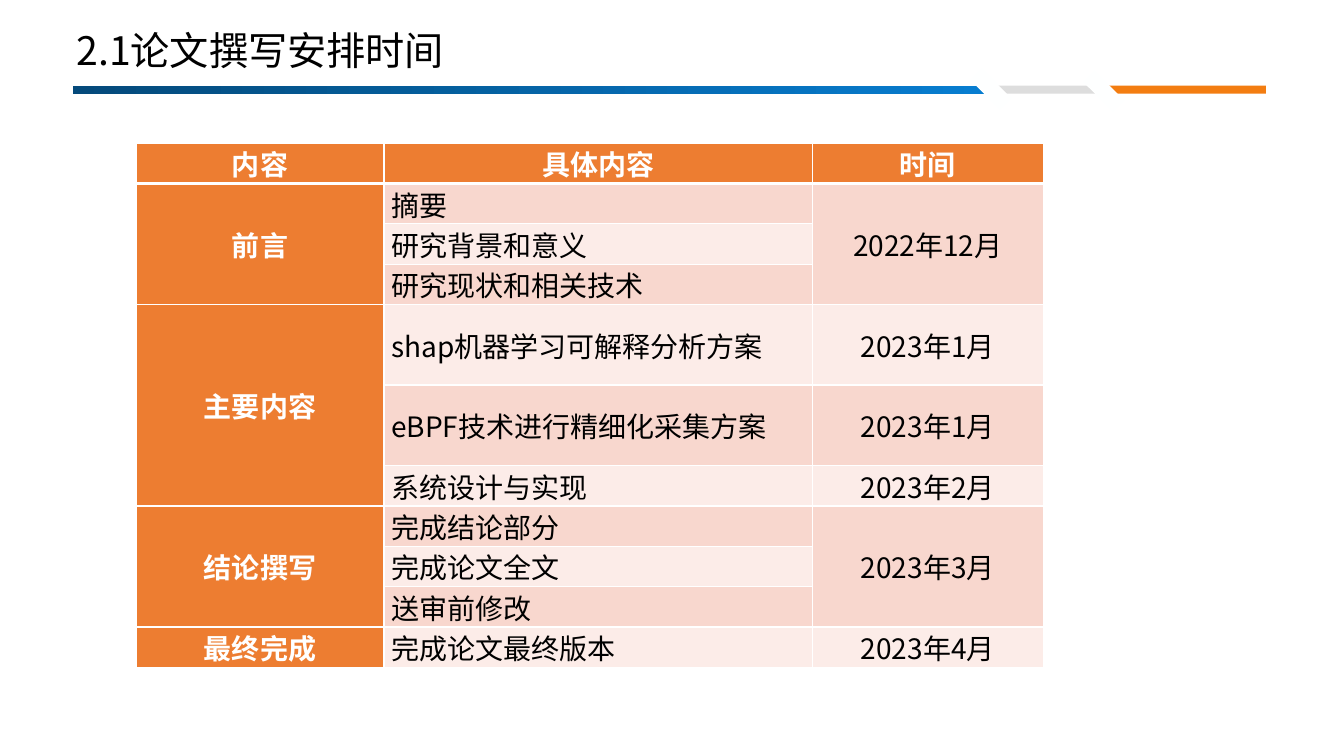
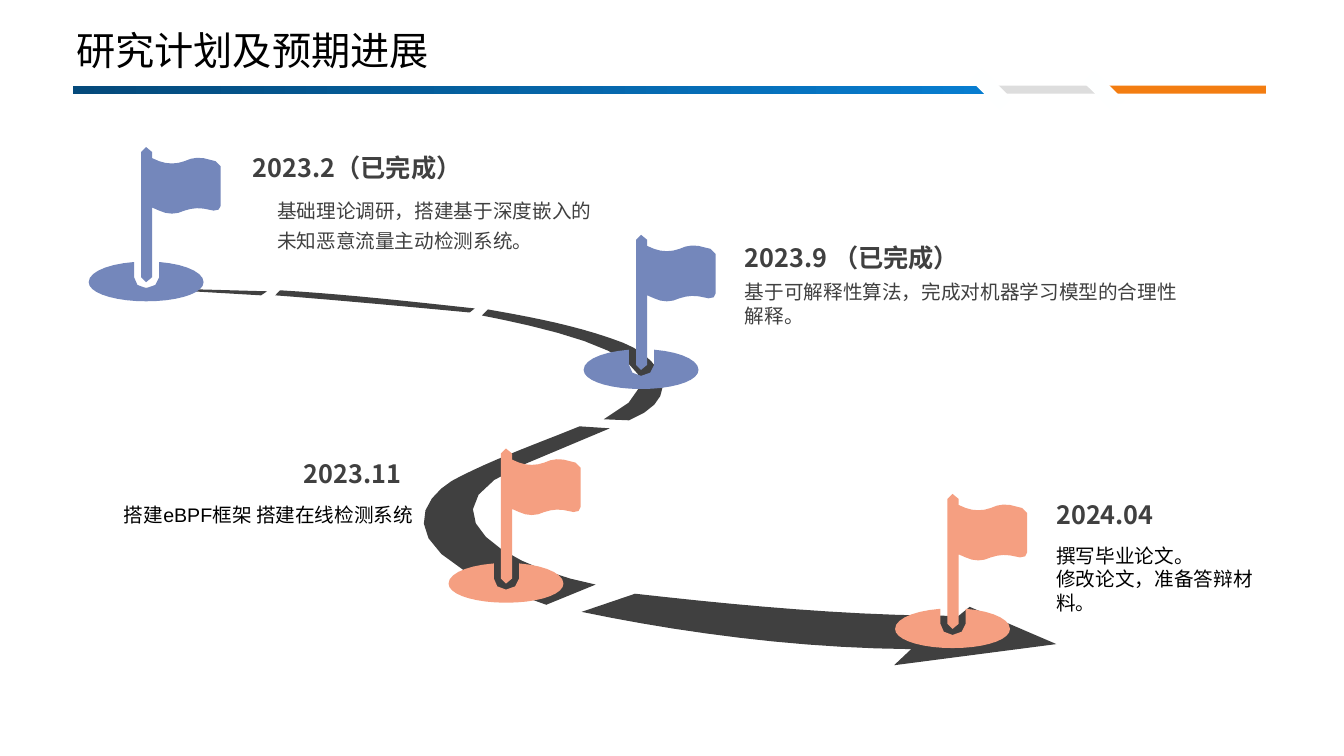
from dataclasses import dataclass
from math import dist

from lxml import etree
from pptx import Presentation
from pptx.dml.color import RGBColor
from pptx.enum.shapes import MSO_SHAPE
from pptx.enum.text import MSO_ANCHOR, PP_ALIGN
from pptx.oxml.ns import qn
from pptx.util import Pt

PX = 9144  # one px is a hundredth of an inch
CHORD = 7  # aimed length of a straight piece of a curve, in px
MOST_CHORDS = 10
RECTANGLE = MSO_SHAPE.RECTANGLE
MIDDLE = MSO_ANCHOR.MIDDLE
LEFT, CENTER, RIGHT = PP_ALIGN.LEFT, PP_ALIGN.CENTER, PP_ALIGN.RIGHT


@dataclass(frozen=True)
class Theme:
    font: str = "Noto Sans CJK SC"
    latin: str = "Arial"
    black: str = "000000"
    white: str = "FFFFFF"
    gap: str = "FEFFFF"
    bar_dark: str = "044A7B"
    bar_light: str = "077DD0"
    bar_gray: str = "DDDDDD"
    bar_orange: str = "F37D11"
    table_head: str = "ED7D31"
    band_dark: str = "F8D7CE"
    band_light: str = "FCECE8"
    road: str = "404040"
    done: str = "7487BB"
    planned: str = "F59F81"
    title_size: int = 28
    table_size: int = 20
    date_size: int = 18
    body_size: int = 14


THEME = Theme()


def write(frame, text, size, color, bold=False, align=LEFT, spacing=None, latin=THEME.font):
    """Fill a text frame and format every run, Latin and East Asian alike."""
    frame.text = text
    frame.word_wrap = True
    for paragraph in frame.paragraphs:
        paragraph.alignment = align
        paragraph.line_spacing = spacing
        for run in paragraph.runs:
            run.font.size = Pt(size)
            run.font.bold = bold
            run.font.color.rgb = RGBColor.from_string(color)
            run.font.name = latin
            etree.SubElement(run.font._element, qn("a:ea"), typeface=THEME.font)


def draw_outline(slide, contours, color, left=0, top=0):
    """Draw closed contours; a point of six numbers is a cubic curve."""
    builder = None
    for start, *segments in contours:
        points = [start]
        for segment in segments:
            if len(segment) == 2:
                points.append(segment)
                continue
            (x0, y0), (x1, y1, x2, y2, x3, y3) = points[-1], segment
            span = dist((x0, y0), (x3, y3))
            chords = min(MOST_CHORDS, max(1, round(span / CHORD)))
            for step in range(1, chords + 1):
                t = step / chords
                a, b, c, d = (1 - t) ** 3, 3 * t * (1 - t) ** 2, 3 * t * t * (1 - t), t ** 3
                points.append((a * x0 + b * x1 + c * x2 + d * x3,
                               a * y0 + b * y1 + c * y2 + d * y3))
        points = [((left + x) * PX, (top + y) * PX) for x, y in points]
        if builder is None:
            builder = slide.shapes.build_freeform(*points[0], scale=1.0)
        else:
            builder.move_to(*points[0])
        builder.add_line_segments(points[1:], close=True)
    outline = builder.convert_to_shape()
    outline.shadow.inherit = False
    outline.fill.solid()
    outline.fill.fore_color.rgb = RGBColor.from_string(color)
    outline.line.fill.background()


deck = Presentation()
deck.slide_width, deck.slide_height = 12192000, 750 * PX
blank = deck.slide_layouts[6]

# Title and divider on every slide
TITLES = ["2.1论文撰写安排时间", "研究计划及预期进展"]
DIVIDER = [  # left, top, width, height, rotation, colour
    (72, 85, 906, 8, 0, None),
    (989, 85, 98, 8, 0, THEME.bar_gray),
    (1099, 85, 157, 8, 0, THEME.bar_orange),
    (975, 68, 16, 41, 135, THEME.gap),
    (1087, 70, 16, 41, 135, THEME.gap),
]
for title in TITLES:
    slide = deck.slides.add_slide(blank)
    for left, top, width, height, rotation, color in DIVIDER:
        bar = slide.shapes.add_shape(RECTANGLE, left * PX, top * PX, width * PX, height * PX)
        bar.shadow.inherit = False
        bar.rotation = rotation
        bar.line.fill.background()
        if color:
            bar.fill.solid()
            bar.fill.fore_color.rgb = RGBColor.from_string(color)
        else:
            bar.fill.gradient()
            bar.fill.gradient_angle = 0
            for stop, shade in zip(bar.fill.gradient_stops, (THEME.bar_dark, THEME.bar_light)):
                stop.color.rgb = RGBColor.from_string(shade)
    heading = slide.shapes.add_textbox(66 * PX, 20 * PX, 409 * PX, 64 * PX).text_frame
    heading.vertical_anchor = MIDDLE
    write(heading, title, THEME.title_size, THEME.black, spacing=0.9)

schedule_slide, roadmap_slide = deck.slides

# Writing schedule
HEADINGS = ["内容", "具体内容", "时间"]
STAGES = [  # one date for a whole stage, or one for each task
    ("前言", ["摘要", "研究背景和意义", "研究现状和相关技术"], ["2022年12月"]),
    ("主要内容", ["shap机器学习可解释分析方案", "eBPF技术进行精细化采集方案", "系统设计与实现"],
     ["2023年1月", "2023年1月", "2023年2月"]),
    ("结论撰写", ["完成结论部分", "完成论文全文", "送审前修改"], ["2023年3月"]),
    ("最终完成", ["完成论文最终版本"], ["2023年4月"]),
]
COLUMN_WIDTHS = [246, 425, 229]
ROW_HEIGHTS = [40] * 4 + [80] * 2 + [40] * 5

schedule = schedule_slide.shapes.add_table(
    len(ROW_HEIGHTS), len(COLUMN_WIDTHS), 135 * PX, 142 * PX,
    sum(COLUMN_WIDTHS) * PX, sum(ROW_HEIGHTS) * PX).table
for column, width in zip(schedule.columns, COLUMN_WIDTHS):
    column.width = width * PX
for row, height in zip(schedule.rows, ROW_HEIGHTS):
    row.height = height * PX

entries = {(0, column): text for column, text in enumerate(HEADINGS)}
first = 1
for stage, tasks, dates in STAGES:
    last = first + len(tasks) - 1
    entries[first, 0] = stage
    entries.update({(first + i, 1): task for i, task in enumerate(tasks)})
    entries.update({(first + i, 2): date for i, date in enumerate(dates)})
    if last > first:
        schedule.cell(first, 0).merge(schedule.cell(last, 0))
        if len(dates) == 1:
            schedule.cell(first, 2).merge(schedule.cell(last, 2))
    first = last + 1

for row in range(len(ROW_HEIGHTS)):
    for column in range(len(COLUMN_WIDTHS)):
        cell = schedule.cell(row, column)
        cell.margin_left = cell.margin_right = 7 * PX
        cell.margin_top = cell.margin_bottom = 0
        cell.vertical_anchor = MIDDLE
        for side in ("lnL", "lnR", "lnT", "lnB"):
            below_head = (row, side) in ((0, "lnB"), (1, "lnT"))
            border = etree.SubElement(cell._tc.get_or_add_tcPr(), qn(f"a:{side}"),
                                      w=str(Pt(3 if below_head else 1)))
            paint = etree.SubElement(border, qn("a:solidFill"))
            etree.SubElement(paint, qn("a:srgbClr"), val=THEME.white)
        is_head = row == 0 or column == 0
        band = THEME.band_dark if row % 2 else THEME.band_light
        cell.fill.solid()
        cell.fill.fore_color.rgb = RGBColor.from_string(THEME.table_head if is_head else band)
        if (row, column) in entries:
            write(cell.text_frame, entries[row, column], THEME.table_size,
                  THEME.white if is_head else THEME.black, bold=is_head,
                  align=LEFT if column == 1 and not is_head else CENTER)

# Road, from the far end to the arrowhead
ROAD = [
    [(122, 285), (265, 289), (259, 293)],
    [(278, 288), (273, 293), (338, 298, 401, 304, 466, 310), (471, 306),
     (407, 299, 343, 292, 278, 288)],
    [(484, 307), (478, 313), (543, 326, 707, 359, 599, 416), (624, 417),
     (682, 394, 654, 354, 618, 340), (573, 323, 529, 315, 484, 307)],
    [(605, 425), (575, 423), (536, 439, 496, 453, 458, 472),
     (428, 485, 360, 543, 542, 600), (591, 580), (508, 564, 408, 509, 517, 462)],
    [(630, 589), (577, 607), (673, 627, 788, 643, 904, 644), (887, 660), (1048, 639),
     (962, 602), (951, 611), (844, 611, 737, 601, 630, 589)],
]
for stretch in ROAD:
    draw_outline(roadmap_slide, [stretch], THEME.road)

# Milestone flags
FLAG = [
    [(45, 114), (45, 129), (45, 135, 50, 140, 57, 140), (64, 140, 70, 135, 70, 129),
     (70, 114), (95, 116, 114, 124, 114, 134), (114, 145, 89, 153, 57, 153),
     (26, 153, 0, 145, 0, 134), (0, 124, 19, 116, 45, 114)],
    [(57, 0), (60, 0, 63, 2, 63, 5), (63, 11), (70, 14), (78, 17, 87, 17, 95, 14),
     (101, 11, 107, 10, 114, 11), (126, 14), (129, 14, 131, 17, 131, 19), (131, 58),
     (129, 62), (124, 63), (114, 61), (107, 60, 101, 61, 95, 63),
     (87, 67, 78, 67, 70, 63), (63, 60), (63, 129), (63, 132, 60, 134, 57, 134),
     (54, 134, 52, 132, 52, 129), (52, 5), (52, 2, 54, 0, 57, 0)],
]
FLAG_SPOTS = [(88, 146, THEME.done), (579, 233, THEME.done),
              (445, 445, THEME.planned), (888, 490, THEME.planned)]
for left, top, color in FLAG_SPOTS:
    draw_outline(roadmap_slide, FLAG, color, left, top)

# Milestone captions
DATES = [  # left, top, width, alignment, text
    (251, 146, 279, LEFT, "2023.2（已完成）"),
    (739, 235, 280, LEFT, "2023.9 （已完成）"),
    (273, 449, 125, RIGHT, "2023.11"),
    (1048, 490, 125, LEFT, "2024.04"),
]
GOALS = [  # left, top, width, height, line pitch, colour, Latin font, text
    (275, 187, 325, 69, 21, THEME.road, THEME.font,
     "基础理论调研，搭建基于深度嵌入的未知恶意流量主动检测系统。"),
    (739, 273, 434, 57, 17, THEME.road, THEME.font,
     "基于可解释性算法，完成对机器学习模型的合理性解释。"),
    (123, 494, 310, 57, 17, THEME.black, THEME.latin, "搭建eBPF框架 搭建在线检测系统"),
    (1048, 534, 201, 81, 17, THEME.black, THEME.font,
     "撰写毕业论文。\n修改论文，准备答辩材料。"),
]
captions = [(left, top, width, 40, text, THEME.date_size, THEME.road, True, align, 22, THEME.font)
            for left, top, width, align, text in DATES]
captions += [(left, top, width, height, text, THEME.body_size, color, False, LEFT, pitch, latin)
             for left, top, width, height, pitch, color, latin, text in GOALS]
for left, top, width, height, text, size, color, bold, align, pitch, latin in captions:
    caption = roadmap_slide.shapes.add_textbox(
        left * PX, top * PX, width * PX, height * PX).text_frame
    caption.margin_left = caption.margin_right = 0
    write(caption, text, size, color, bold, align, Pt(pitch), latin)

deck.save("out.pptx")
